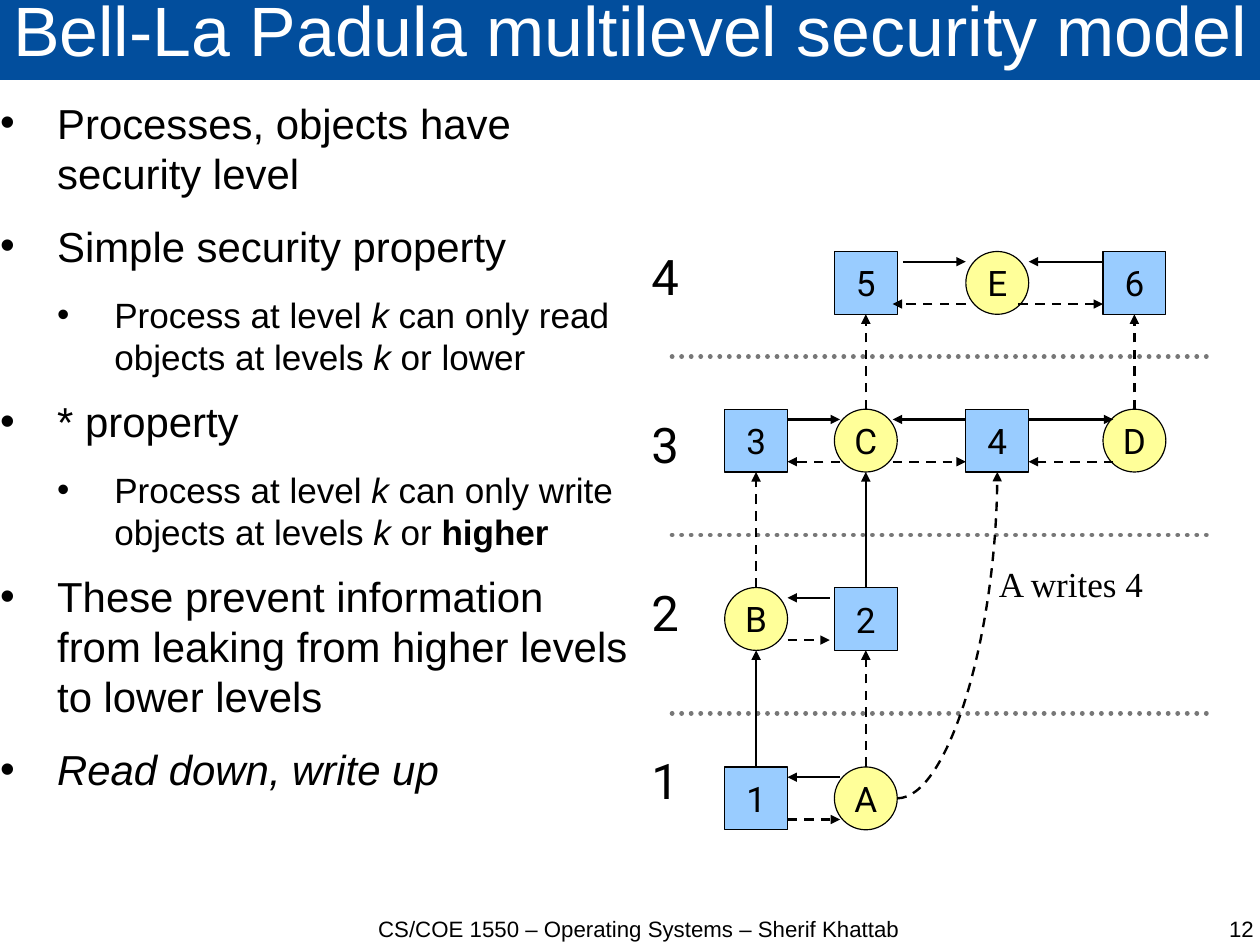
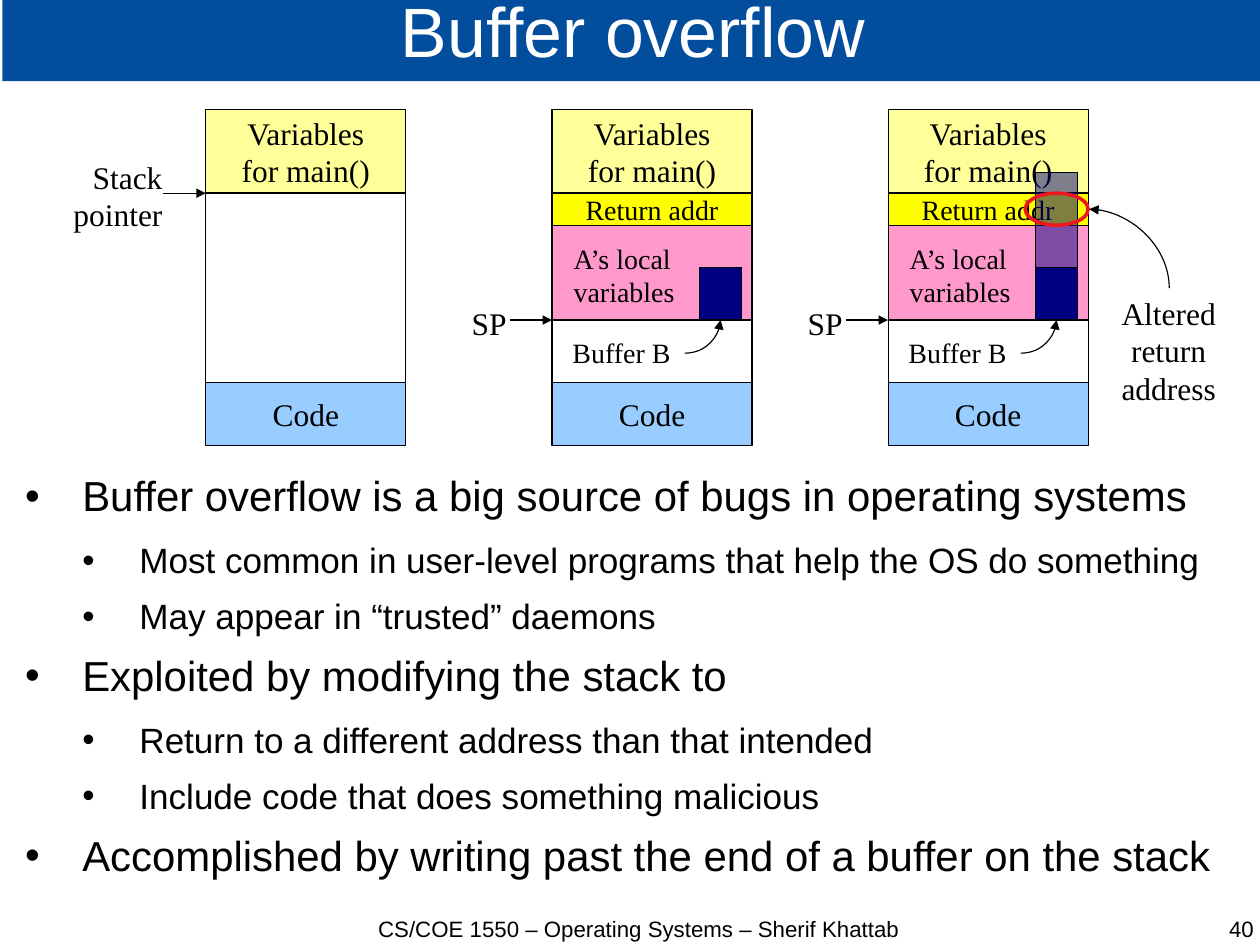
from dataclasses import dataclass

from lxml import etree
from pptx import Presentation
from pptx.dml.color import RGBColor
from pptx.enum.dml import MSO_LINE
from pptx.enum.shapes import MSO_CONNECTOR, MSO_SHAPE
from pptx.enum.text import MSO_ANCHOR, MSO_AUTO_SIZE, PP_ALIGN
from pptx.oxml.ns import qn
from pptx.util import Cm, Inches, Pt

RECTANGLE, ELLIPSE = MSO_SHAPE.RECTANGLE, MSO_SHAPE.OVAL
STRAIGHT, CURVE = MSO_CONNECTOR.STRAIGHT, MSO_CONNECTOR.CURVE
DASH, DOTS = MSO_LINE.DASH, MSO_LINE.ROUND_DOT
LEFT, CENTER, RIGHT = PP_ALIGN.LEFT, PP_ALIGN.CENTER, PP_ALIGN.RIGHT
SLIDE_WIDTH, SLIDE_HEIGHT = Cm(28), Cm(21)


@dataclass(frozen=True)
class Theme:
    band: str = "024E9D"
    white: str = "FFFFFF"
    ink: str = "000000"
    divider: str = "777777"
    blue: str = "99CCFF"
    cream: str = "FFFF99"
    yellow: str = "FFFF00"
    pink: str = "FF99CC"
    navy: str = "000080"
    alert: str = "ED181E"
    sans: str = "Arial"
    diagram: str = "Roboto"
    serif: str = "Times New Roman"
    title_size: float = 44
    footer_size: float = 14
    level_size: float = 30.9
    node_size: float = 22.1
    stack_size: float = 19.8
    detail_size: float = 17.6
    body_sizes: tuple = (26.4, 22.1)
    body_gaps: tuple = (14.2, 11.4)


THEME = Theme()
FOOTER = "CS/COE 1550 – Operating Systems – Sherif Khattab"

# Bullets: (level, runs); a run is (text, style), style "i" italic or "b" bold.
SECURITY = {
    "title": "Bell-La Padula multilevel security model",
    "number": "12",
    "title_at": (0, -0.02),
    "body_at": (0, 0.85, 5.51, 7.12),
    "line_spacing": 1.0,
    "bullets": [
        (0, [("Processes, objects have security level", "")]),
        (0, [("Simple security property", "")]),
        (1, [("Process at level ", ""), ("k", "i"), (" can only read objects at levels ", ""),
             ("k", "i"), (" or lower", "")]),
        (0, [("* property", "")]),
        (1, [("Process at level ", ""), ("k", "i"), (" can only write objects at levels ", ""),
             ("k", "i"), (" or ", ""), ("higher", "b")]),
        (0, [("These prevent information from leaking from higher levels to lower levels", "")]),
        (0, [("Read down, write up", "i")]),
    ],
}
OVERFLOW = {
    "title": "Buffer overflow",
    "number": "40",
    "title_at": (0.02, -0.01),
    "body_at": (0.22, 4.16, 11.04, 3.8),
    "line_spacing": 0.9,
    "bullets": [
        (0, [("Buffer overflow is a big source of bugs in operating systems", "")]),
        (1, [("Most common in user-level programs that help the OS do something", "")]),
        (1, [("May appear in “trusted” daemons", "")]),
        (0, [("Exploited by modifying the stack to", "")]),
        (1, [("Return to a different address than that intended", "")]),
        (1, [("Include code that does something malicious", "")]),
        (0, [("Accomplished by writing past the end of a buffer on the stack", "")]),
    ],
}

# Security diagram: nodes sit in a grid of columns and levels (top row is level 4).
NODE = 0.55
COLUMNS = (6.34, 7.3, 8.45, 9.65)
ROWS = (2.2, 3.58, 5.14, 6.71)
NODE_GRID = (" 5E6", "3C4D", "B2  ", "1A  ")
READ_OFFSET, WRITE_OFFSET = 0.09, 0.46
# Per row: (solid start, solid end, dashed start, dashed end)
ROW_LINKS = (
    [(7.9, 8.45, 8.45, 7.81), (9.65, 9, 8.91, 9.65)],
    [(6.89, 7.35, 7.35, 6.89), (8.45, 7.81, 7.81, 8.45), (9, 9.74, 9.74, 9)],
    [(7.26, 6.89, 6.89, 7.26)],
    [(7.35, 6.89, 6.89, 7.35)],
)
COLUMN_LINKS = [("D", "6", DASH), ("C", "5", DASH), ("2", "C", None),
                ("1", "B", None), ("A", "2", DASH), ("B", "3", DASH)]

# Stack diagram: shared boundaries, then one entry per stack.
STACK_WIDTH = 1.75
STACK_TOP, MAIN_END, RETURN_END, LOCALS_END, CODE_TOP, STACK_END = 0.96, 1.69, 1.97, 2.8, 3.35, 3.9
BUFFER_TOP, BUFFER_OFFSET, BUFFER_WIDTH = 2.34, 1.29, 0.37
STACKS = [
    {"left": 1.8, "called": False, "pointer": "Stack\npointer", "label": (-1.27, -0.36, 0.99, 0.77)},
    {"left": 4.83, "called": True, "pointer": "SP", "label": (-0.81, -0.19, 0.51, 0.43)},
    {"left": 7.77, "called": True, "pointer": "SP", "label": (-0.81, -0.19, 0.51, 0.43)},
]


def rgb(value):
    return RGBColor.from_string(value)


def add_run(paragraph, text, font, size, color=THEME.ink, style=""):
    run = paragraph.add_run()
    run.text = text
    run.font.name, run.font.size = font, Pt(size)
    run.font.color.rgb = rgb(color)
    run.font.bold, run.font.italic = "b" in style, "i" in style


def write(frame, text, font, size, align, color=THEME.ink):
    paragraph = frame.paragraphs[0]
    paragraph.alignment = align
    for index, line in enumerate(text.split("\n")):
        if index:
            paragraph.add_line_break()
        add_run(paragraph, line, font, size, color)
    return paragraph


def clear_margins(frame):
    frame.margin_left = frame.margin_right = frame.margin_top = frame.margin_bottom = 0


def add_label(slide, box, text, font, size, align=LEFT, fitted=True):
    """Fitted labels grow around their text; others wrap in a box without margins."""
    frame = slide.shapes.add_textbox(*map(Inches, box)).text_frame
    frame.word_wrap = not fitted
    if fitted:
        frame.auto_size = MSO_AUTO_SIZE.SHAPE_TO_FIT_TEXT
    else:
        clear_margins(frame)
    write(frame, text, font, size, align)


def add_box(slide, kind, box, fill, text="", font=THEME.serif, size=THEME.stack_size,
            line=THEME.ink, weight=0.75, opacity=100):
    shape = slide.shapes.add_shape(kind, *map(Inches, box))
    shape.shadow.inherit = False
    if fill:
        shape.fill.solid()
        shape.fill.fore_color.rgb = rgb(fill)
    else:
        shape.fill.background()
    if opacity < 100:
        color = shape._element.spPr.find(qn("a:solidFill")).find(qn("a:srgbClr"))
        etree.SubElement(color, qn("a:alpha"), val=str(opacity * 1000))
    shape.line.color.rgb = rgb(line)
    shape.line.width = Pt(weight)
    if text:
        frame = shape.text_frame
        frame.word_wrap = False
        frame.vertical_anchor = MSO_ANCHOR.MIDDLE
        write(frame, text, font, size, CENTER)


def add_line(slide, start, end, weight=0.75, dash=None, color=THEME.ink, kind=STRAIGHT, arrow="tailEnd"):
    """Curves leave the start horizontally and meet the end vertically."""
    connector = slide.shapes.add_connector(kind, *map(Inches, (*start, *end)))
    connector.line.color.rgb = rgb(color)
    connector.line.width = Pt(weight)
    properties = connector._element.spPr
    outline = properties.find(qn("a:ln"))
    if kind == CURVE:
        properties.find(qn("a:prstGeom")).set("prst", "curvedConnector2")
    if dash:
        connector.line.dash_style = dash
    if dash == DOTS:
        outline.set("cap", "rnd")
    if arrow:
        etree.SubElement(outline, qn("a:" + arrow), type="triangle")
    etree.SubElement(properties, qn("a:effectLst"))


def add_bullet(paragraph, level, runs, line_spacing):
    paragraph.level = level
    paragraph.line_spacing = line_spacing
    paragraph.space_before = Pt(0)
    paragraph.space_after = Pt(THEME.body_gaps[level])
    properties = paragraph._p.get_or_add_pPr()
    properties.set("marL", str(Inches(0.5 * (level + 1))))
    properties.set("indent", str(Inches(-0.5)))
    color = etree.SubElement(properties, qn("a:buClr"))
    etree.SubElement(color, qn("a:srgbClr"), val=THEME.ink)
    etree.SubElement(properties, qn("a:buFont"), typeface=THEME.sans)
    etree.SubElement(properties, qn("a:buChar"), char="•")
    for text, style in runs:
        add_run(paragraph, text, THEME.sans, THEME.body_sizes[level], style=style)


def place(placeholder, box):
    placeholder.left, placeholder.top, placeholder.width, placeholder.height = map(Inches, box)
    frame = placeholder.text_frame
    frame.word_wrap = True
    frame.auto_size = MSO_AUTO_SIZE.NONE
    clear_margins(frame)
    return frame


def add_slide(presentation, content):
    slide = presentation.slides.add_slide(presentation.slide_layouts[1])
    title, body = slide.placeholders
    frame = place(title, (*content["title_at"], 11.04, 0.72))
    title.fill.solid()
    title.fill.fore_color.rgb = rgb(THEME.band)
    frame.vertical_anchor = MSO_ANCHOR.MIDDLE
    heading = write(frame, content["title"], THEME.sans, THEME.title_size, CENTER, THEME.white)
    heading.line_spacing = 0.69

    frame = place(body, content["body_at"])
    frame.vertical_anchor = MSO_ANCHOR.TOP
    for index, (level, runs) in enumerate(content["bullets"]):
        paragraph = frame.add_paragraph() if index else frame.paragraphs[0]
        add_bullet(paragraph, level, runs, content["line_spacing"])

    for left, width, text, align in ((3.07, 5.04, FOOTER, CENTER), (8.44, 2.53, content["number"], RIGHT)):
        add_label(slide, (left, 8.01, width, 0.25), text, THEME.sans, THEME.footer_size, align, fitted=False)
    return slide


def draw_security_levels(slide):
    for index in range(3):
        y = 3.12 + 1.56 * index
        add_line(slide, (5.88, y), (10.56, y), 3, DOTS, THEME.divider, arrow=None)
    for index, level in enumerate("4321"):
        add_label(slide, (5.6, 2.11 + 1.47 * index, 0.44, 0.62), level, THEME.diagram, THEME.level_size)

    nodes = {name: (left, top) for top, names in zip(ROWS, NODE_GRID)
             for left, name in zip(COLUMNS, names) if name != " "}
    for name, corner in nodes.items():
        kind, fill = (RECTANGLE, THEME.blue) if name.isdigit() else (ELLIPSE, THEME.cream)
        add_box(slide, kind, (*corner, NODE, NODE), fill, name, THEME.diagram, THEME.node_size)

    for top, links in zip(ROWS, ROW_LINKS):
        for read_start, read_end, write_start, write_end in links:
            for start, end, offset, dash in ((read_start, read_end, READ_OFFSET, None),
                                             (write_start, write_end, WRITE_OFFSET, DASH)):
                add_line(slide, (start, top + offset), (end, top + offset), 1.5, dash)
    for lower, upper, dash in COLUMN_LINKS:
        x = nodes[lower][0] + NODE / 2
        add_line(slide, (x, nodes[lower][1]), (x, nodes[upper][1] + NODE), 1.5, dash)

    writer, target = nodes["A"], nodes["4"]
    add_line(slide, (writer[0] + NODE, writer[1] + NODE / 2),
             (target[0] + NODE / 2, target[1] + NODE), 1.5, DASH, kind=CURVE)
    add_label(slide, (8.64, 4.87, 1.47, 0.47), "A writes 4", THEME.serif, THEME.node_size)


def draw_stack(slide, stack):
    left, called = stack["left"], stack["called"]
    pointer = LOCALS_END if called else MAIN_END
    segments = [
        (CODE_TOP, STACK_END, THEME.blue, "Code", THEME.stack_size),
        (pointer, CODE_TOP, THEME.white, "", THEME.stack_size),
        (STACK_TOP, MAIN_END, THEME.cream, "Variables\nfor main()", THEME.stack_size),
    ]
    if called:
        segments += [
            (MAIN_END, RETURN_END, THEME.yellow, "Return addr", THEME.detail_size),
            (RETURN_END, LOCALS_END, THEME.pink, "", THEME.detail_size),
        ]
    for top, bottom, fill, text, size in segments:
        add_box(slide, RECTANGLE, (left, top, STACK_WIDTH, bottom - top), fill, text, size=size)
    add_line(slide, (left - 0.37, pointer), (left, pointer))
    dx, dy, width, height = stack["label"]
    add_label(slide, (left + dx, pointer + dy, width, height), stack["pointer"],
              THEME.serif, THEME.stack_size, RIGHT)
    if called:
        add_label(slide, (left + 0.09, 2.06, 1.1, 0.69), "A’s local\nvariables", THEME.serif, THEME.detail_size)
        add_box(slide, RECTANGLE, (left + BUFFER_OFFSET, BUFFER_TOP, BUFFER_WIDTH, LOCALS_END - BUFFER_TOP),
                THEME.navy)
        add_label(slide, (left + 0.08, 2.89, 1.07, 0.4), "Buffer B", THEME.serif, THEME.detail_size)
        add_line(slide, (left + 1.16, 3.09), (left + BUFFER_OFFSET + BUFFER_WIDTH / 2, LOCALS_END), kind=CURVE)


def draw_overflow(slide):
    for stack in STACKS:
        draw_stack(slide, stack)
    left = STACKS[-1]["left"]
    right = left + STACK_WIDTH
    add_box(slide, RECTANGLE, (left + BUFFER_OFFSET, 1.51, BUFFER_WIDTH, BUFFER_TOP - 1.51),
            THEME.navy, opacity=50)
    add_box(slide, ELLIPSE, (right - 0.55, MAIN_END, 0.55, RETURN_END - MAIN_END), None,
            line=THEME.alert, weight=2.25)
    add_label(slide, (9.71, 2.52, 1.03, 1.1), "Altered\nreturn\naddress", THEME.serif, THEME.stack_size, CENTER)
    add_line(slide, (right + 0.01, 1.83), (10.23, 2.52), kind=CURVE, arrow="headEnd")


def main():
    presentation = Presentation()
    presentation.slide_width, presentation.slide_height = SLIDE_WIDTH, SLIDE_HEIGHT
    draw_security_levels(add_slide(presentation, SECURITY))
    draw_overflow(add_slide(presentation, OVERFLOW))
    presentation.save("out.pptx")


if __name__ == "__main__":
    main()
